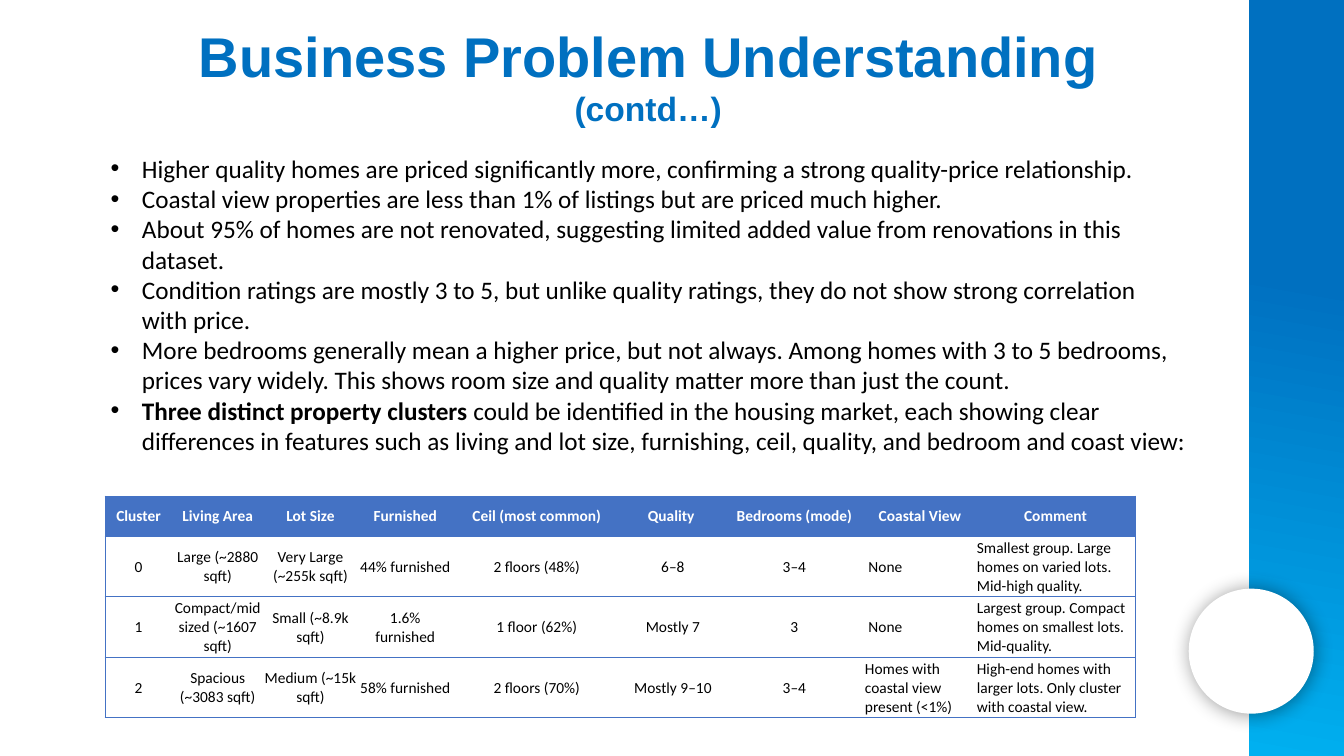
from lxml import etree
from pptx import Presentation
from pptx import util as u
from pptx.dml.color import RGBColor
from pptx.enum import shapes, text
from pptx.oxml import ns, parse_xml

WIDTH, HEIGHT = 13.33, 7.5
BLUE = RGBColor(0x00, 0x70, 0xC0)
SKY = RGBColor(0x00, 0xB0, 0xF0)
TABLE_BLUE = RGBColor(0x44, 0x72, 0xC4)
WHITE = RGBColor(0xFF, 0xFF, 0xFF)
BLACK = RGBColor(0x00, 0x00, 0x00)
NO_GRID_STYLE = "{2D5ABB26-0587-4C30-8999-92F81FD0307C}"

TITLE = [("Business Problem Understanding", 40), ("(contd…)", 24)]
# Each point is a list of (words, bold).
POINTS = [
    [("Higher quality homes are priced significantly more, confirming a strong "
      "quality-price relationship.", False)],
    [("Coastal view properties are less than 1% of listings but are priced much higher.", False)],
    [("About 95% of homes are not renovated, suggesting limited added value from "
      "renovations in this dataset.", False)],
    [("Condition ratings are mostly 3 to 5, but unlike quality ratings, they do not "
      "show strong correlation with price.", False)],
    [("More bedrooms generally mean a higher price, but not always. Among homes with "
      "3 to 5 bedrooms, prices vary widely. This shows room size and quality matter "
      "more than just the count.", False)],
    [("Three distinct property clusters ", True),
     ("could be identified in the housing market, each showing clear differences in "
      "features such as living and lot size, furnishing, ceil, quality, and bedroom "
      "and coast view:", False)],
]
CLUSTERS = [
    ["Cluster", "Living Area", "Lot Size", "Furnished", "Ceil (most common)",
     "Quality ", "Bedrooms (mode)", "Coastal View", "Comment"],
    ["0", "Large (~2880 sqft)", "Very Large (~255k sqft)", "44% furnished",
     "2 floors (48%)", "6–8", "3–4", " None",
     "Smallest group. Large homes on varied lots. Mid-high quality."],
    ["1", "Compact/mid sized (~1607 sqft)", "Small (~8.9k sqft)", "1.6% furnished",
     "1 floor (62%)", "Mostly 7", "3", " None",
     "Largest group. Compact homes on smallest lots. Mid-quality."],
    ["2", "Spacious (~3083 sqft)", "Medium (~15k sqft)", "58% furnished",
     "2 floors (70%)", "Mostly 9–10", "3–4", "Homes with coastal view present (<1%)",
     "High-end homes with larger lots. Only cluster with coastal view."],
]
COLUMN_WIDTHS = [0.67, 0.9, 0.94, 0.94, 1.67, 1.03, 1.38, 1.11, 1.58]
ROW_HEIGHTS = [0.4, 0.6, 0.6, 0.6]
FIRST_LEFT_COLUMN = 7


def inches(*lengths):
    return [u.Inches(length) for length in lengths]


def set_font(font, color, **values):
    for name, value in values.items():
        setattr(font, name, value)
    font.color.rgb = color


def add_plain_shape(page, kind, *place):
    shape = page.shapes.add_shape(kind, *inches(*place))
    shape.line.fill.background()
    shape.shadow.inherit = False
    return shape


def add_side_band(page):
    left = 12.39
    band = add_plain_shape(page, shapes.MSO_SHAPE.RECTANGLE, left, 0, WIDTH - left, HEIGHT)
    band.fill.gradient()
    band.fill.gradient_angle = 260
    for stop, (share, color) in zip(band.fill.gradient_stops, [(0.37, BLUE), (1, SKY)]):
        stop.position = share
        stop.color.rgb = color


def add_disc(page):
    disc = add_plain_shape(page, shapes.MSO_SHAPE.OVAL, 11.79, 5.84, 1.24, 1.24)
    disc.fill.solid()
    disc.fill.fore_color.rgb = WHITE
    effects = disc._element.spPr.find(ns.qn("a:effectLst"))
    effects.append(parse_xml(
        f'<a:outerShdw {ns.nsdecls("a")} blurRad="{u.Pt(14)}" dist="{u.Pt(1)}" '
        f'dir="{43 * 60000}" algn="ctr" rotWithShape="0"><a:srgbClr val="{BLACK}">'
        '<a:alpha val="40000"/></a:srgbClr></a:outerShdw>'))


def add_text_frame(page, *place):
    frame = page.shapes.add_textbox(*inches(*place)).text_frame
    frame.word_wrap = True
    return frame


def paragraphs(frame, count):
    """Yield the first paragraph of the frame, then new ones."""
    for index in range(count):
        yield frame.add_paragraph() if index else frame.paragraphs[0]


def add_title(page):
    frame = add_text_frame(page, 1.33, 0.16, 10.2, 1.18)
    for para, (words, size) in zip(paragraphs(frame, len(TITLE)), TITLE):
        para.alignment = text.PP_ALIGN.CENTER
        span = para.add_run()
        span.text = words
        set_font(span.font, BLUE, name="Arial", size=u.Pt(size), bold=True)


def add_bullet(para, indent):
    properties = para._p.get_or_add_pPr()
    properties.set("marL", str(u.Inches(indent)))
    properties.set("indent", str(-u.Inches(indent)))
    etree.SubElement(properties, ns.qn("a:buFont"), typeface="Arial")
    etree.SubElement(properties, ns.qn("a:buChar"), char="•")


def add_points(page):
    frame = add_text_frame(page, 1, 1.47, 10.87, 4.34)
    for para, point in zip(paragraphs(frame, len(POINTS)), POINTS):
        add_bullet(para, 0.31)
        for words, bold in point:
            span = para.add_run()
            span.text = words
            set_font(span.font, BLACK, name="Calibri", size=u.Pt(18), bold=bold)


def add_borders(cell, sides):
    properties = cell._tc.get_or_add_tcPr()
    for index, side in enumerate(sides):
        properties.insert(index, parse_xml(
            f'<a:ln{side} {ns.nsdecls("a")} w="{u.Pt(0.5)}"><a:solidFill>'
            f'<a:srgbClr val="{TABLE_BLUE}"/></a:solidFill></a:ln{side}>'))


def format_cell(cell, words, header, centred):
    margins = dict(margin_left=0.01, margin_right=0.01, margin_top=0.01, margin_bottom=0)
    for name, margin in margins.items():
        setattr(cell, name, u.Inches(margin))
    cell.vertical_anchor = text.MSO_ANCHOR.MIDDLE
    if header:
        cell.fill.solid()
        cell.fill.fore_color.rgb = TABLE_BLUE
    else:
        cell.fill.background()
    para = cell.text_frame.paragraphs[0]
    para.alignment = text.PP_ALIGN.CENTER if centred else text.PP_ALIGN.LEFT
    span = para.add_run()
    span.text = words
    set_font(span.font, WHITE if header else BLACK,
             name="Calibri", size=u.Pt(11), bold=header)


def add_cluster_table(page):
    place = inches(1.04, 4.92, sum(COLUMN_WIDTHS), sum(ROW_HEIGHTS))
    table = page.shapes.add_table(len(ROW_HEIGHTS), len(COLUMN_WIDTHS), *place).table
    table.horz_banding = False
    table._tbl.tblPr.find(ns.qn("a:tableStyleId")).text = NO_GRID_STYLE
    for column, width in zip(table.columns, COLUMN_WIDTHS):
        column.width = u.Inches(width)
    for row, height in zip(table.rows, ROW_HEIGHTS):
        row.height = u.Inches(height)
    outer_sides = {0: "LTB", len(COLUMN_WIDTHS) - 1: "RTB"}
    for row, entries in enumerate(CLUSTERS):
        for column, words in enumerate(entries):
            cell = table.cell(row, column)
            header = row == 0
            format_cell(cell, words, header, header or column < FIRST_LEFT_COLUMN)
            add_borders(cell, outer_sides.get(column, "TB"))


def main():
    deck = Presentation()
    deck.slide_width, deck.slide_height = inches(WIDTH, HEIGHT)
    page = deck.slides.add_slide(deck.slide_layouts[6])
    add_side_band(page)
    add_disc(page)
    add_points(page)
    add_title(page)
    add_cluster_table(page)
    deck.save("out.pptx")


if __name__ == "__main__":
    main()
